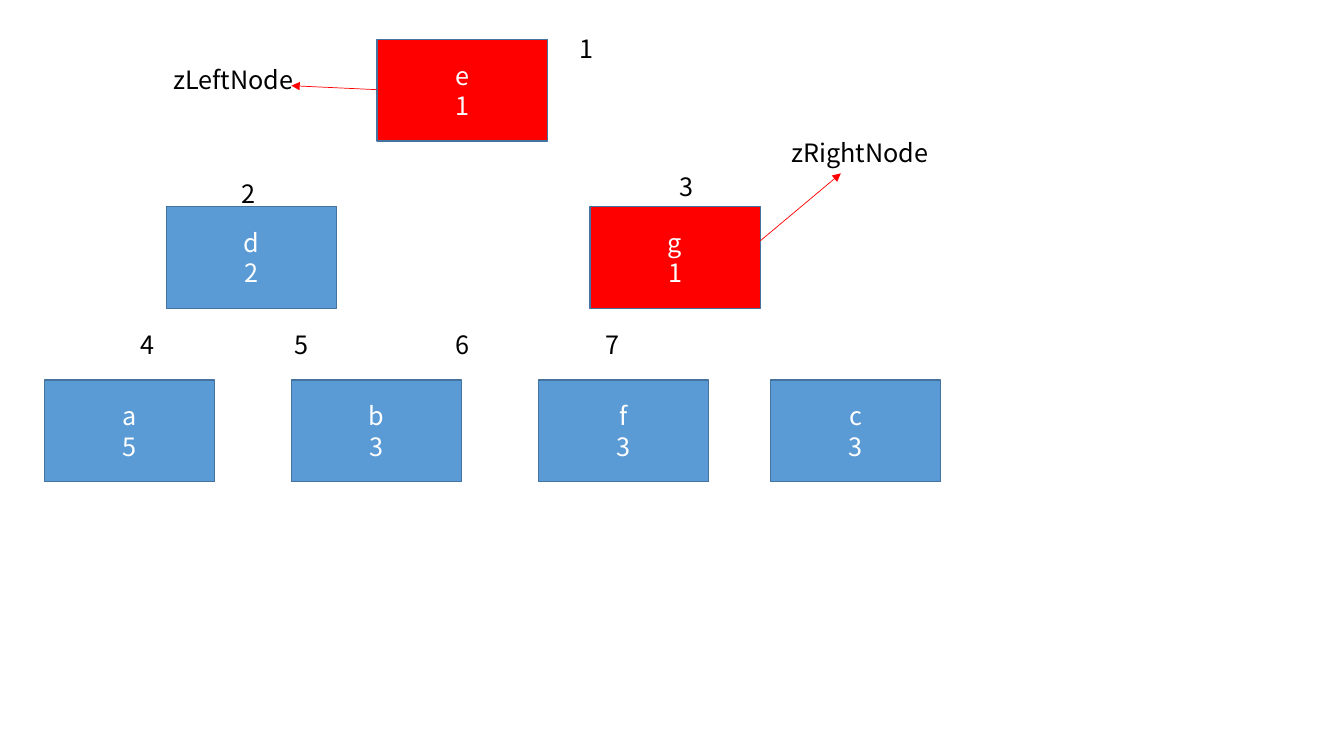
from lxml import etree
from pptx import Presentation
from pptx.dml.color import RGBColor
from pptx.enum.shapes import MSO_CONNECTOR, MSO_SHAPE
from pptx.enum.text import MSO_ANCHOR, MSO_AUTO_SIZE, PP_ALIGN
from pptx.oxml.ns import qn
from pptx.util import Pt

PX = 9144
RED = RGBColor(0xFF, 0, 0)
BLUE = RGBColor(0x5B, 0x9B, 0xD5)
EDGE = RGBColor(0x43, 0x73, 0x9E)
WHITE = RGBColor(0xFF, 0xFF, 0xFF)
BLACK = RGBColor(0, 0, 0)
RECT = MSO_SHAPE.RECTANGLE
LINE = MSO_CONNECTOR.STRAIGHT
MID = MSO_ANCHOR.MIDDLE
TOP = MSO_ANCHOR.TOP
GROW = MSO_AUTO_SIZE.SHAPE_TO_FIT_TEXT
LEFT = PP_ALIGN.LEFT
CENTER = PP_ALIGN.CENTER
FONT = {"name": "Noto Sans CJK KR", "size": Pt(18)}
NODE_W, NODE_H, TAG_H = 169, 101, 40


def emu(*vals):
    return [v * PX for v in vals]


def put(item, form):
    for key, val in form.items():
        setattr(item, key, val)


def write(frame, lines, color, align, form):
    frame.text = "\n".join(lines)
    put(frame, {"word_wrap": True, **form})
    for para in frame.paragraphs:
        para.alignment = align
        for run in para.runs:
            put(run.font, FONT)
            run.font.color.rgb = color


def add_node(slide, x, y, name, count, fill):
    node = slide.shapes.add_shape(RECT, *emu(x, y, NODE_W, NODE_H))
    node.shadow.inherit = False
    node.fill.solid()
    node.fill.fore_color.rgb = fill
    node.line.color.rgb = EDGE
    node.line.width = Pt(1)
    write(node.text_frame, (name, count), WHITE, CENTER,
          {"vertical_anchor": MID})


def add_tag(slide, x, y, wide, text):
    tag = slide.shapes.add_textbox(*emu(x, y, wide, TAG_H))
    write(tag.text_frame, (text,), BLACK, LEFT,
          {"vertical_anchor": TOP, "auto_size": GROW})
    return tag


def add_arrow(slide, start, end):
    arrow = slide.shapes.add_connector(LINE, *emu(*start, *end))
    arrow.line.color.rgb = RED
    arrow.line.width = Pt(0.5)
    ln = arrow.line._get_or_add_ln()
    etree.SubElement(ln, qn("a:tailEnd"), type="triangle")
    etree.SubElement(arrow._element.spPr, qn("a:effectLst"))


def add_root(slide, x, y):
    add_node(slide, x, y, "e", "1", RED)
    add_tag(slide, x + 191, y - 11, 32, "1")
    add_arrow(slide, (x, y + 50), (x - 85, y + 46))
    add_tag(slide, x - 212, y + 20, 169, "zLeftNode")


def add_pair(slide, x, y):
    right = x + 420
    add_node(slide, x, y, "d", "2", BLUE)
    add_node(slide, right, y, "g", "1", RED)
    add_tag(slide, x + 65, y - 33, 46, "2")
    add_tag(slide, right + 79, y - 40, 65, "3")
    edge = right + NODE_W
    add_arrow(slide, (edge, y + 34), (edge + 80, y - 33))
    add_tag(slide, edge + 21, y - 74, 169, "zRightNode")


def add_leaves(slide, x, y):
    leaves = ((0, "a", "5"), (245, "b", "3"), (490, "f", "3"), (720, "c", "3"))
    for shift, name, count in leaves:
        add_node(slide, x + shift, y, name, count, BLUE)
    row = add_tag(slide, x + 85, y - 55, 781, "4\t5\t6\t7")
    props = row.text_frame.paragraphs[0]._p.get_or_add_pPr()
    tabs = etree.SubElement(props, qn("a:tabLst"))
    for stop in emu(153, 313, 462):
        etree.SubElement(tabs, qn("a:tab"), pos=str(stop), algn="l")


def main():
    deck = Presentation()
    put(deck, {"slide_width": 1333 * PX, "slide_height": 750 * PX})
    slide = deck.slides.add_slide(deck.slide_layouts[6])
    add_root(slide, 374, 39)
    add_pair(slide, 165, 205)
    add_leaves(slide, 44, 377)
    deck.save("out.pptx")


if __name__ == "__main__":
    main()
